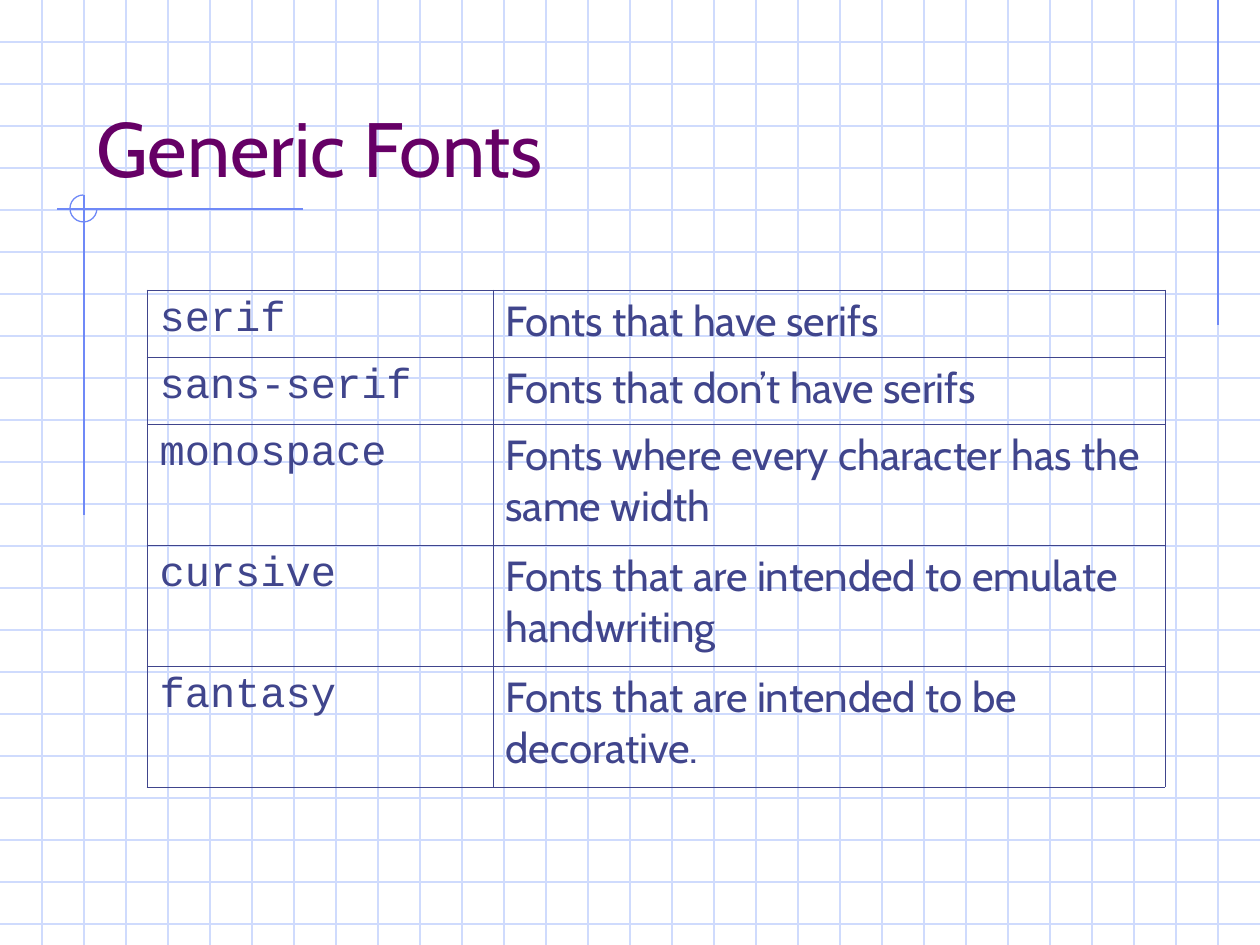
from dataclasses import dataclass

from lxml import etree
from pptx import Presentation
from pptx import util as u
from pptx.dml.color import RGBColor
from pptx.enum import shapes, text
from pptx.oxml import ns

PX = u.Inches(1) / 126
WIDTH, HEIGHT, GRID_STEP = 1260, 945, 42


@dataclass(frozen=True)
class Theme:
    grid: str = "CFDBFD"
    accent: str = "6F89F7"
    title: str = "660066"
    body: str = "40458C"
    sans: str = "Cabin"
    mono: str = "Courier New"
    title_size: int = 44
    body_size: int = 24
    line_width: float = 0.75
    border_width: float = 0.45


def px(n):
    return u.Emu(round(n * PX))


def write(tf, content, *, font, size, color, align=text.PP_ALIGN.LEFT):
    p = tf.paragraphs[0]
    p.alignment = align
    r = p.add_run()
    r.text = content
    r.font.name, r.font.size = font, u.Pt(size)
    r.font.color.rgb = RGBColor.from_string(color)


class SlideBuilder:
    def __init__(self, s, theme):
        self.s, self.theme = s, theme

    def stroke(self, sp, color):
        sp.line.color.rgb = RGBColor.from_string(color)
        sp.line.width = u.Pt(self.theme.line_width)

    def line(self, x1, y1, x2, y2, color):
        sp = self.s.shapes.add_connector(
            shapes.MSO_CONNECTOR.STRAIGHT, px(x1), px(y1), px(x2), px(y2))
        self.stroke(sp, color)
        etree.SubElement(sp._element.spPr, ns.qn("a:effectLst"))

    def grid(self):
        for y in range(GRID_STEP, HEIGHT, GRID_STEP):
            self.line(0, y, WIDTH, y, self.theme.grid)
        for x in range(GRID_STEP, WIDTH, GRID_STEP):
            self.line(x, 0, x, HEIGHT, self.theme.grid)

    def three_quarter_circle(self, x, y, size):
        sp = self.s.shapes.add_shape(
            shapes.MSO_SHAPE.ARC, px(x), px(y), px(size), px(size))
        sp.adjustments[0], sp.adjustments[1] = 0, 162  # 0 to 270 degrees
        sp.shadow.inherit = False
        sp.fill.background()
        self.stroke(sp, self.theme.accent)

    def title(self, content, x, y, w, h):
        sp = self.s.shapes.title
        sp.left, sp.top, sp.width, sp.height = map(px, (x, y, w, h))
        tf = sp.text_frame
        tf.word_wrap, tf.auto_size = True, text.MSO_AUTO_SIZE.NONE
        tf.vertical_anchor = text.MSO_ANCHOR.BOTTOM
        write(tf, content, font=self.theme.sans, size=self.theme.title_size,
              color=self.theme.title)
        self.s.shapes._spTree.append(sp._element)  # in front of the grid

    def border(self, cell):
        tcPr = cell._tc.get_or_add_tcPr()
        for i, side in enumerate(("lnL", "lnR", "lnT", "lnB")):
            ln = etree.Element(ns.qn(f"a:{side}"),
                               w=str(u.Pt(self.theme.border_width)))
            fill = etree.SubElement(ln, ns.qn("a:solidFill"))
            etree.SubElement(fill, ns.qn("a:srgbClr"), val=self.theme.body)
            tcPr.insert(i, ln)

    def table(self, rows, x, y, widths, heights):
        table = self.s.shapes.add_table(
            len(rows), len(widths), px(x), px(y),
            px(sum(widths)), px(sum(heights))).table
        table.first_row = table.horz_banding = False
        for col, w in zip(table.columns, widths):
            col.width = px(w)
        for row, h, contents in zip(table.rows, heights, rows):
            row.height = px(h)
            fonts = (self.theme.mono, self.theme.sans)
            for cell, content, font in zip(row.cells, contents, fonts):
                cell.fill.background()
                self.border(cell)
                write(cell.text_frame, content, font=font,
                      size=self.theme.body_size, color=self.theme.body)


def main():
    prs = Presentation()
    prs.slide_width, prs.slide_height = px(WIDTH), px(HEIGHT)
    theme = Theme()
    b = SlideBuilder(prs.slides.add_slide(prs.slide_layouts[5]), theme)

    b.grid()
    b.line(1218, 0, 1218, 325, theme.accent)
    b.line(303, 209, 57, 209, theme.accent)
    b.line(84, 195, 84, 515, theme.accent)
    b.three_quarter_circle(70, 195, 27)

    b.title("Generic Fonts", 84, 42, 1071, 157)
    b.table([
        ("serif", "Fonts that have serifs"),
        ("sans-serif", "Fonts that don’t have serifs"),
        ("monospace", "Fonts where every character has the same width"),
        ("cursive", "Fonts that are intended to emulate handwriting"),
        ("fantasy", "Fonts that are intended to be decorative."),
    ], 147, 290, widths=(346, 672), heights=(67, 67, 121, 121, 121))

    prs.save("out.pptx")


if __name__ == "__main__":
    main()
